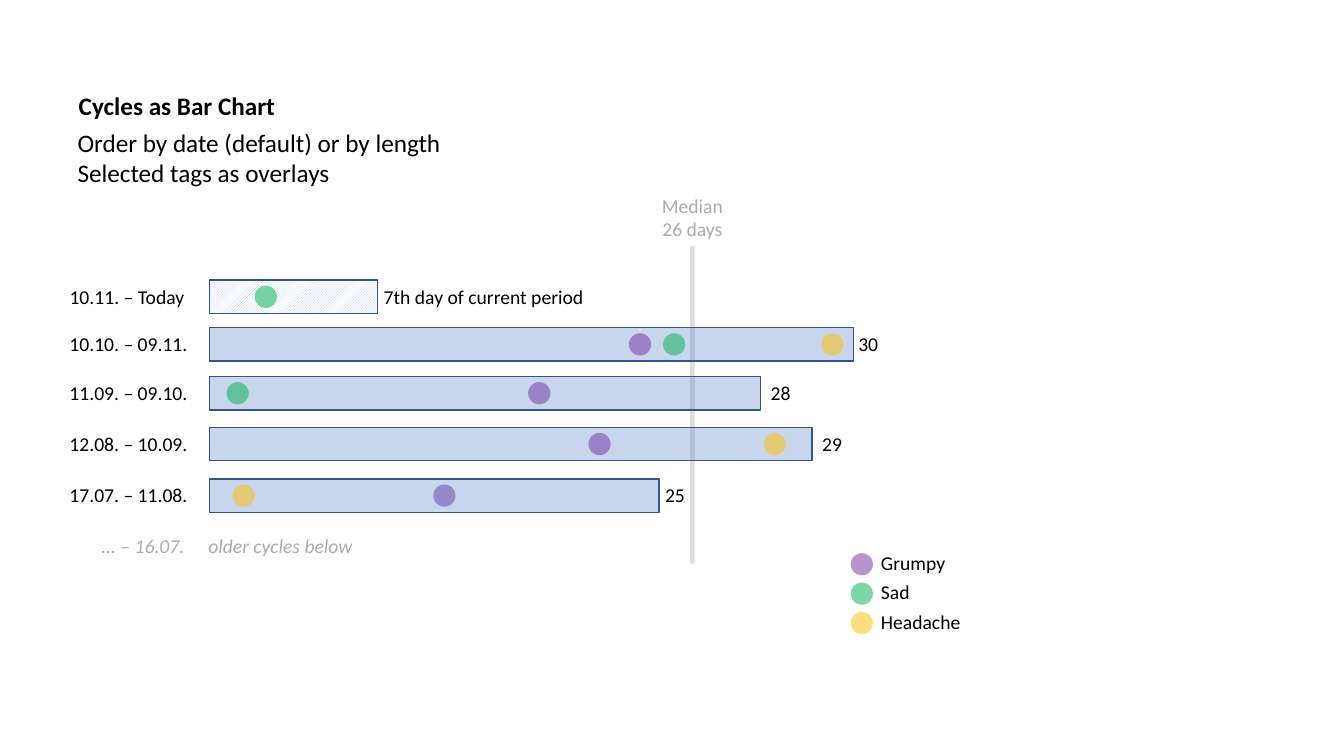
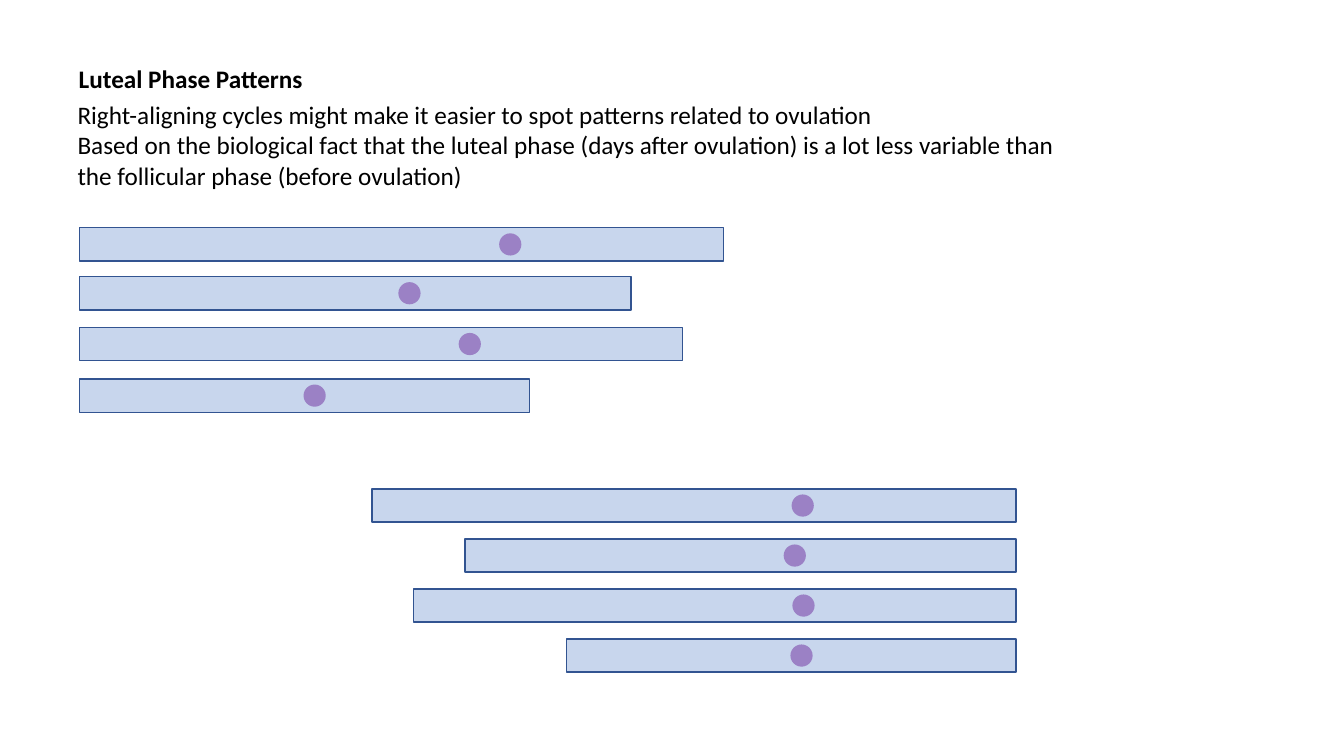
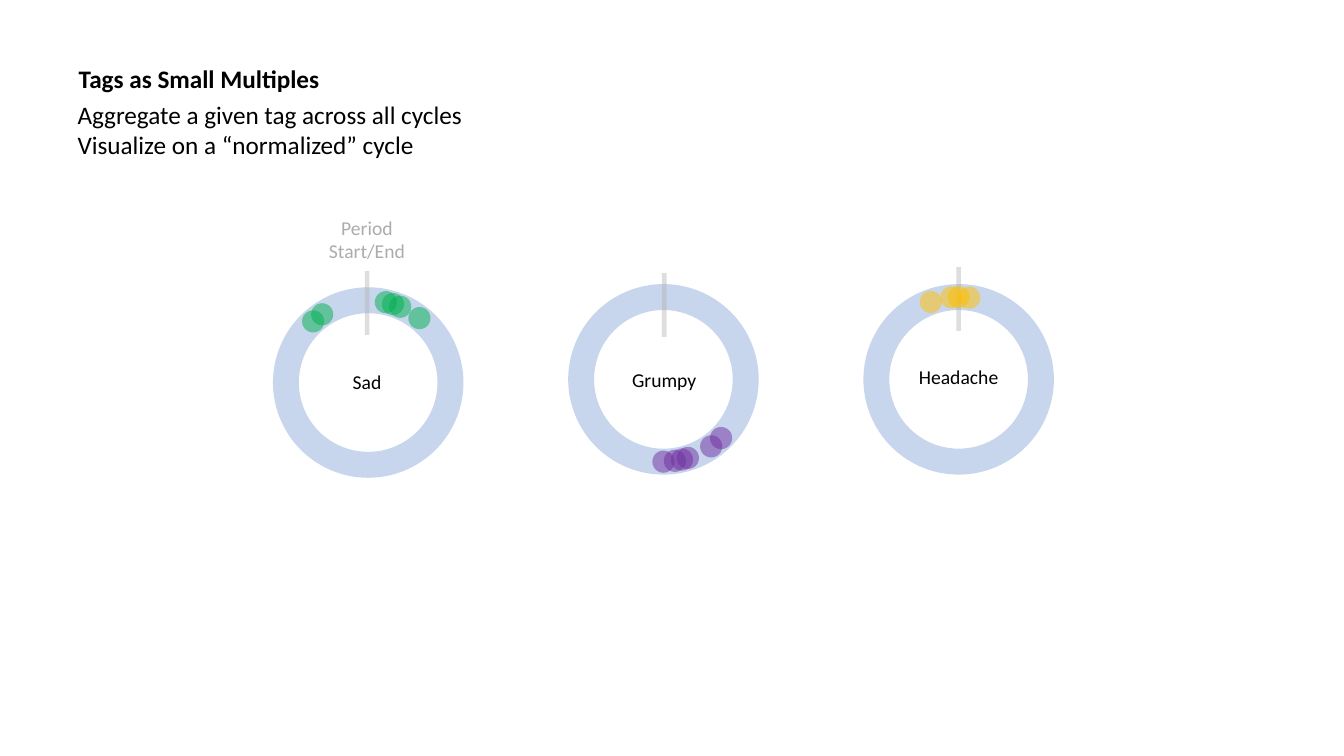
"""Build three slides that sketch ways of charting cycles and their tags."""
import dataclasses
import math

import lxml.etree
import pptx
import pptx.dml.color
import pptx.enum.dml
import pptx.enum.shapes
import pptx.enum.text
import pptx.oxml.ns
import pptx.shapes.autoshape
import pptx.shapes.base
import pptx.slide
import pptx.text.text
import pptx.util

Cm = pptx.util.Cm
Pt = pptx.util.Pt
RGBColor = pptx.dml.color.RGBColor
SHAPE = pptx.enum.shapes.MSO_SHAPE
ALIGN = pptx.enum.text.PP_ALIGN
qn = pptx.oxml.ns.qn

BLACK = RGBColor(0x00, 0x00, 0x00)
WHITE = RGBColor(0xFF, 0xFF, 0xFF)
GRAY = RGBColor(0xAF, 0xAB, 0xAB)
BLUE = RGBColor(0x44, 0x72, 0xC4)
DARK_BLUE = RGBColor(0x32, 0x54, 0x91)
PALE_BLUE = RGBColor(0xB4, 0xC7, 0xE7)
PURPLE = RGBColor(0x70, 0x30, 0xA0)
GREEN = RGBColor(0x00, 0xB0, 0x50)
YELLOW = RGBColor(0xFF, 0xC0, 0x00)

TITLE_FONT = {"name": "Calibri", "size": Pt(18), "bold": True}
BODY_FONT = {"name": "Calibri", "size": Pt(18)}
LABEL_FONT = {"name": "Calibri", "size": Pt(14)}
NOTE_FONT = LABEL_FONT | {"italic": True}

BAR_HEIGHT = 0.84
DOT_SIZE = 0.56
LABEL_HEIGHT = 0.86
RING_SIZE = 4.8
RING_BAND = 0.136
MARKER_LENGTH = 1.61


@dataclasses.dataclass(frozen=True)
class Tag:
    name: str
    color: RGBColor
    width: float


@dataclasses.dataclass(frozen=True)
class Cycle:
    dates: str
    days: int
    drop: float
    length: float
    grumpy: float
    others: tuple[tuple[Tag, float], ...]
    days_shift: float = 0
    grumpy_behind: bool = False


@dataclasses.dataclass(frozen=True)
class Ring:
    tag: Tag
    top: float
    marker_x: float
    marker_top: float
    label_top: float
    angles: tuple[float, ...]


GRUMPY = Tag("Grumpy", PURPLE, 2.16)
SAD = Tag("Sad", GREEN, 1.24)
HEADACHE = Tag("Headache", YELLOW, 2.54)
TAGS = (GRUMPY, SAD, HEADACHE)

CYCLES = (
    Cycle("10.10. – 09.11.", 30, 0, 16.23, 10.57, ((SAD, 11.43), (HEADACHE, 15.42)), -0.13),
    Cycle("11.09. – 09.10.", 28, 1.23, 13.89, 8.03, ((SAD, 0.43),)),
    Cycle("12.08. – 10.09.", 29, 2.51, 15.19, 9.55, ((HEADACHE, 13.97),)),
    Cycle("17.07. – 11.08.", 25, 3.81, 11.33, 5.64, ((HEADACHE, 0.58),), -0.1, True),
)

RINGS = (
    Ring(SAD, 7.24, 9.25, 6.83, 9.19, (12.4, 22.9, 38.5, 17.5, -34, -42)),
    Ring(GRUMPY, 7.16, 16.74, 6.88, 9.14, (180, 172, 162.7, 167, 144.5, 135.5)),
    Ring(HEADACHE, 7.16, 24.16, 6.73, 9.07, (0, -5, 7.4, -19.8)),
)


def set_alpha(s: pptx.shapes.base.BaseShape, percent: int) -> None:
    color = s.element.spPr.find(".//" + qn("a:srgbClr"))
    lxml.etree.SubElement(color, qn("a:alpha")).set("val", str(percent * 1000))


def format_font(font: pptx.text.text.Font, values: dict, color: RGBColor) -> None:
    for key, value in values.items():
        setattr(font, key, value)
    font.color.rgb = color


def add_heading(slide: pptx.slide.Slide, title: str, lines: str, top: float,
                width: float, height: float) -> None:
    boxes = (
        (slide.shapes.title, title, TITLE_FONT, (1.73, top, 6.7, 1.02)),
        (slide.placeholders[1], lines, BODY_FONT, (1.7, top + 0.91, width, height)),
    )
    for s, text, font, place in boxes:
        for key, value in zip(("left", "top", "width", "height"), place):
            setattr(s, key, Cm(value))
        tf = s.text_frame
        tf.text = text
        tf.word_wrap = True
        tf.auto_size = pptx.enum.text.MSO_AUTO_SIZE.NONE
        tf.vertical_anchor = pptx.enum.text.MSO_ANCHOR.TOP
        for p in tf.paragraphs:
            p.alignment = ALIGN.LEFT
            p.space_before = Pt(0)
            pPr = p._p.get_or_add_pPr()
            pPr.set("marL", "0")
            pPr.set("indent", "0")
            lxml.etree.SubElement(pPr, qn("a:buNone"))
            for r in p.runs:
                format_font(r.font, font, BLACK)


def add_label(slide: pptx.slide.Slide, text: str, x: float, y: float, width: float,
              align: ALIGN = ALIGN.LEFT, color: RGBColor = BLACK, font: dict = LABEL_FONT,
              height: float = LABEL_HEIGHT, wrap: bool = False) -> None:
    tf = slide.shapes.add_textbox(Cm(x), Cm(y), Cm(width), Cm(height)).text_frame
    tf.word_wrap = wrap
    tf.auto_size = pptx.enum.text.MSO_AUTO_SIZE.SHAPE_TO_FIT_TEXT
    p = tf.paragraphs[0]
    p.text = text
    p.alignment = align
    for r in p.runs:
        format_font(r.font, font, color)


def add_filled(slide: pptx.slide.Slide, kind: SHAPE, x: float, y: float, width: float,
               height: float, color: RGBColor, alpha: int) -> pptx.shapes.autoshape.Shape:
    s = slide.shapes.add_shape(kind, Cm(x), Cm(y), Cm(width), Cm(height))
    s.shadow.inherit = False
    s.fill.solid()
    s.fill.fore_color.rgb = color
    set_alpha(s, alpha)
    s.line.fill.background()
    return s


def add_dot(slide: pptx.slide.Slide, x: float, y: float, tag: Tag) -> None:
    add_filled(slide, SHAPE.OVAL, x, y, DOT_SIZE, DOT_SIZE, tag.color, 51)


def add_bar_dot(slide: pptx.slide.Slide, x: float, bar_top: float, tag: Tag) -> None:
    add_dot(slide, x, bar_top + (BAR_HEIGHT - DOT_SIZE) / 2, tag)


def add_bar(slide: pptx.slide.Slide, x: float, y: float,
            length: float) -> pptx.shapes.autoshape.Shape:
    s = add_filled(slide, SHAPE.RECTANGLE, x, y, length, BAR_HEIGHT, BLUE, 29)
    s.line.color.rgb = DARK_BLUE
    s.line.width = Pt(1)
    return s


def add_cycle(slide: pptx.slide.Slide, cycle: Cycle, x: float, y: float,
              behind: bool = False) -> None:
    if behind:
        add_bar_dot(slide, x + cycle.grumpy, y, GRUMPY)
    add_bar(slide, x, y, cycle.length)
    if not behind:
        add_bar_dot(slide, x + cycle.grumpy, y, GRUMPY)


def add_marker(slide: pptx.slide.Slide, x: float, top: float, length: float) -> None:
    s = slide.shapes.add_connector(pptx.enum.shapes.MSO_CONNECTOR.STRAIGHT,
                                   Cm(x), Cm(top), Cm(x), Cm(top + length))
    s.line.color.rgb = GRAY
    s.line.width = Pt(3.25)
    set_alpha(s, 39)
    lxml.etree.SubElement(s.element.spPr, qn("a:effectLst"))


def add_ring(slide: pptx.slide.Slide, ring: Ring, x: float) -> None:
    s = add_filled(slide, SHAPE.DONUT, x, ring.top, RING_SIZE, RING_SIZE, BLUE, 29)
    s.adjustments[0] = RING_BAND
    add_marker(slide, ring.marker_x, ring.marker_top, MARKER_LENGTH)
    radius = RING_SIZE * (1 - RING_BAND) / 2
    corner = (RING_SIZE - DOT_SIZE) / 2
    for angle in map(math.radians, ring.angles):
        add_dot(slide, x + corner + radius * math.sin(angle),
                ring.top + corner - radius * math.cos(angle), ring.tag)
    add_label(slide, ring.tag.name, ring.marker_x - ring.tag.width / 2, ring.label_top,
              ring.tag.width, ALIGN.CENTER)


def build_bar_chart(slide: pptx.slide.Slide) -> None:
    add_heading(slide, "Cycles as Bar Chart",
                "Order by date (default) or by length\nSelected tags as overlays",
                2.16, 10.01, 1.8)
    left, top, current_top = 5.28, 8.26, 7.06
    add_marker(slide, 17.45, 6.2, 8)
    add_label(slide, "Median\v26 days", 16.41, 4.75, 2.08, ALIGN.CENTER, GRAY, height=1.45)

    s = add_bar(slide, left, current_top, 4.24)
    s.fill.patterned()
    s.fill.pattern = pptx.enum.dml.MSO_PATTERN.LIGHT_UPWARD_DIAGONAL
    s.fill.fore_color.rgb = PALE_BLUE
    s.fill.back_color.rgb = WHITE
    add_bar_dot(slide, left + 1.14, current_top, SAD)
    add_label(slide, "7th day of current period", 9.42, current_top, 5.59)
    add_label(slide, "10.11. – Today", 1.47, current_top, 3.43, ALIGN.RIGHT)

    for cycle in CYCLES:
        y = top + cycle.drop
        add_cycle(slide, cycle, left, y, cycle.grumpy_behind)
        for tag, offset in cycle.others:
            add_bar_dot(slide, left + offset, y, tag)
        add_label(slide, str(cycle.days), left + cycle.length + cycle.days_shift, y - 0.02, 1.02)
        add_label(slide, cycle.dates, 1.47, y - 0.02, 3.51, ALIGN.RIGHT)

    for text, x, width in (("... – 16.07.", 1.47, 3.43), ("older cycles below", 3.96, 5.18)):
        add_label(slide, text, x, 13.34, width, ALIGN.RIGHT, GRAY, NOTE_FONT, wrap=True)
    for i, tag in enumerate(TAGS):
        y = 13.94 + 0.74 * i
        add_dot(slide, 21.44, y, tag)
        add_label(slide, tag.name, 21.95, y - 0.18, tag.width)


def build_luteal_patterns(slide: pptx.slide.Slide) -> None:
    add_heading(slide, "Luteal Phase Patterns",
                "Right-aligning cycles might make it easier to spot patterns related to ovulation\n"
                "Based on the biological fact that the luteal phase (days after ovulation) "
                "is a lot less variable than\vthe follicular phase (before ovulation)",
                1.47, 25.43, 2.57)
    right = 25.61
    for i, cycle in enumerate(CYCLES):
        add_cycle(slide, cycle, 2.01, 5.74 + cycle.drop)
        add_cycle(slide, cycle, right - cycle.length, 12.32 + 1.26 * i)


def build_small_multiples(slide: pptx.slide.Slide) -> None:
    add_heading(slide, "Tags as Small Multiples",
                "Aggregate a given tag across all cycles\vVisualize on a “normalized” cycle",
                1.47, 10.31, 1.8)
    for i, ring in enumerate(RINGS):
        add_ring(slide, ring, 6.88 + 7.44 * i)
    add_label(slide, "Period\vStart/End", 8.03, 5.31, 2.44, ALIGN.CENTER, GRAY, height=1.45)


def main() -> None:
    prs = pptx.Presentation()
    prs.slide_width = Cm(33.87)
    prs.slide_height = Cm(19.05)
    for build in (build_bar_chart, build_luteal_patterns, build_small_multiples):
        build(prs.slides.add_slide(prs.slide_layouts[1]))
    prs.save("out.pptx")


if __name__ == "__main__":
    main()
